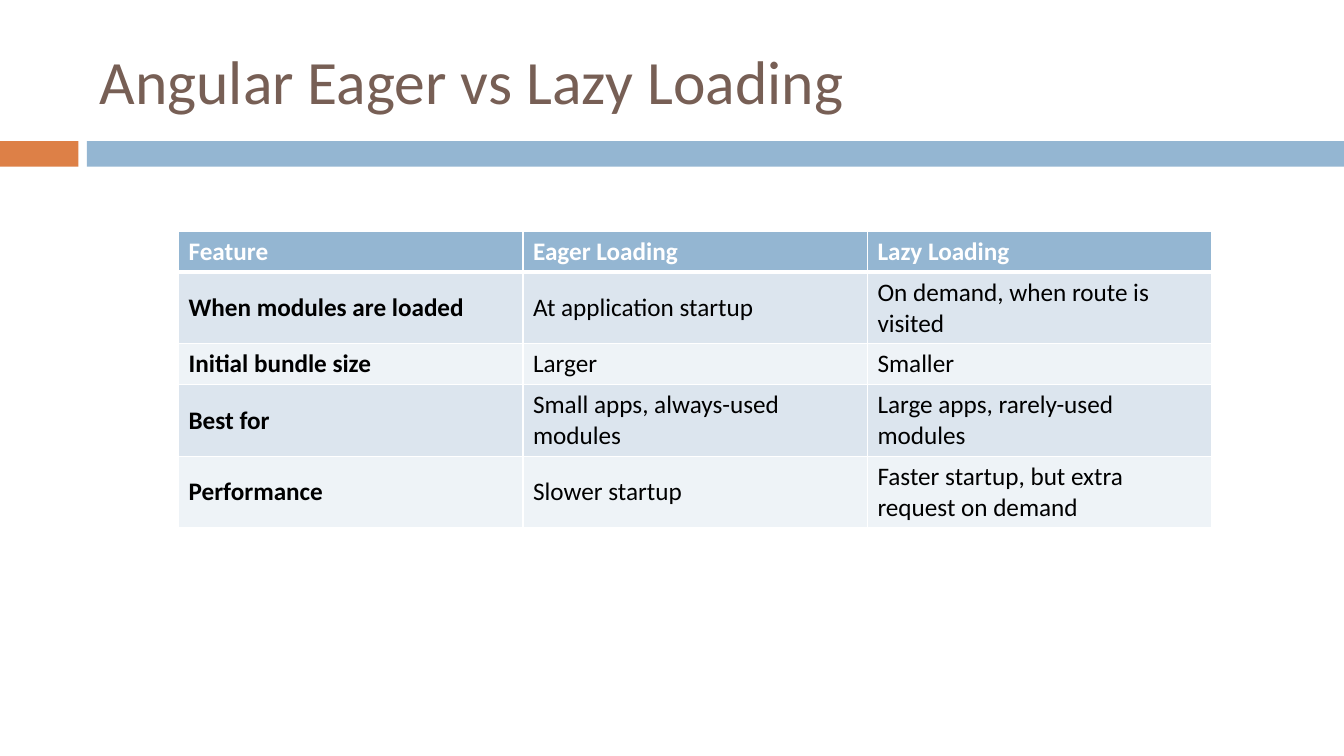
import pptx
import pptx.util
import pptx.dml.color
import pptx.enum.shapes
import pptx.enum.text
import pptx.oxml
import pptx.oxml.ns

Cm, Pt = pptx.util.Cm, pptx.util.Pt
RGBColor = pptx.dml.color.RGBColor
MIDDLE = pptx.enum.text.MSO_ANCHOR.MIDDLE

# Content
TITLE = "Angular Eager vs Lazy Loading"
ROWS = [
    ("Feature", "Eager Loading", "Lazy Loading"),
    ("When modules are loaded", "At application startup", "On demand, when route is visited"),
    ("Initial bundle size", "Larger", "Smaller"),
    ("Best for", "Small apps, always-used modules", "Large apps, rarely-used modules"),
    ("Performance", "Slower startup", "Faster startup, but extra request on demand"),
]

# Style
FONT = "Calibri"
WHITE = RGBColor(0xFF, 0xFF, 0xFF)
BLACK = RGBColor(0x00, 0x00, 0x00)
BROWN = RGBColor(0x77, 0x5F, 0x55)
ORANGE = RGBColor(0xDD, 0x80, 0x47)
BLUE = RGBColor(0x94, 0xB6, 0xD2)
BANDS = [RGBColor(0xEE, 0xF3, 0xF7), RGBColor(0xDC, 0xE5, 0xEE)]

# Layout
SLIDE_W, SLIDE_H = Cm(33.87), Cm(19.05)
BAR_TOP, BAR_H = Cm(3.56), Cm(0.64)
ACCENT_W, BAR_LEFT = Cm(1.98), Cm(2.19)
COL_W, ROW_H = Cm(8.68), Cm(1.03)


def style_run(p, size, color, bold=False):
    font = p.runs[0].font
    font.name, font.size, font.bold = FONT, Pt(size), bold
    font.color.rgb = color


def add_bar(slide, left, width, color):
    sp = slide.shapes.add_shape(pptx.enum.shapes.MSO_SHAPE.RECTANGLE,
                                left, BAR_TOP, width, BAR_H)
    sp.shadow.inherit = False
    sp.fill.solid()
    sp.fill.fore_color.rgb = color
    sp.line.fill.background()


def set_borders(cell, bottom, top):
    """Draw white borders, which must come before the fill in the cell properties."""
    tc_pr = cell._tc.get_or_add_tcPr()
    widths = {"lnL": 1, "lnR": 1, "lnT": top, "lnB": bottom}
    for i, (tag, width) in enumerate(widths.items()):
        tc_pr.insert(i, pptx.oxml.parse_xml(
            f'<a:{tag} {pptx.oxml.ns.nsdecls("a")} w="{Pt(width)}">'
            f'<a:solidFill><a:srgbClr val="{WHITE}"/></a:solidFill></a:{tag}>'))


prs = pptx.Presentation()
prs.slide_width, prs.slide_height = SLIDE_W, SLIDE_H
slide = prs.slides.add_slide(prs.slide_layouts[5])

# Bars under the title
add_bar(slide, 0, ACCENT_W, ORANGE)
add_bar(slide, BAR_LEFT, SLIDE_W - BAR_LEFT, BLUE)

# Title
title = slide.shapes.title
title.left, title.top, title.width, title.height = Cm(2.26), Cm(0.64), Cm(30.2), Cm(2.74)
tf = title.text_frame
tf.text = TITLE
tf.auto_size = pptx.enum.text.MSO_AUTO_SIZE.NONE
tf.vertical_anchor = MIDDLE
tf.paragraphs[0].alignment = pptx.enum.text.PP_ALIGN.LEFT
style_run(tf.paragraphs[0], 44, BROWN)

# Comparison table
n_rows, n_cols = len(ROWS), len(ROWS[0])
table = slide.shapes.add_table(n_rows, n_cols, Cm(4.5), Cm(5.83),
                               COL_W * n_cols, ROW_H * n_rows).table
for r, row in enumerate(ROWS):
    header = r == 0
    for c, text in enumerate(row):
        cell = table.cell(r, c)
        cell.text = text
        cell.vertical_anchor = MIDDLE
        cell.fill.solid()
        cell.fill.fore_color.rgb = BLUE if header else BANDS[r % 2]
        style_run(cell.text_frame.paragraphs[0], 18,
                  WHITE if header else BLACK, header or c == 0)
        set_borders(cell, bottom=3 if header else 1, top=3 if r == 1 else 1)

prs.save("out.pptx")
